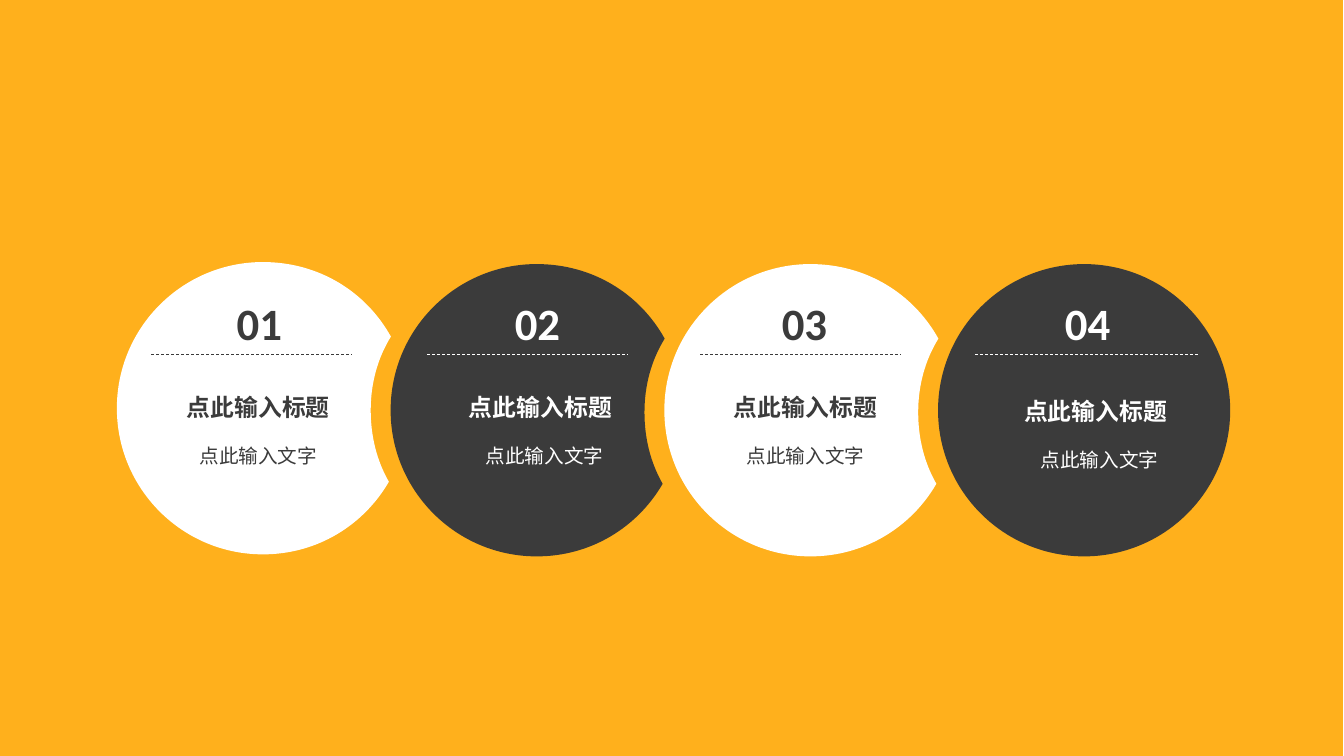
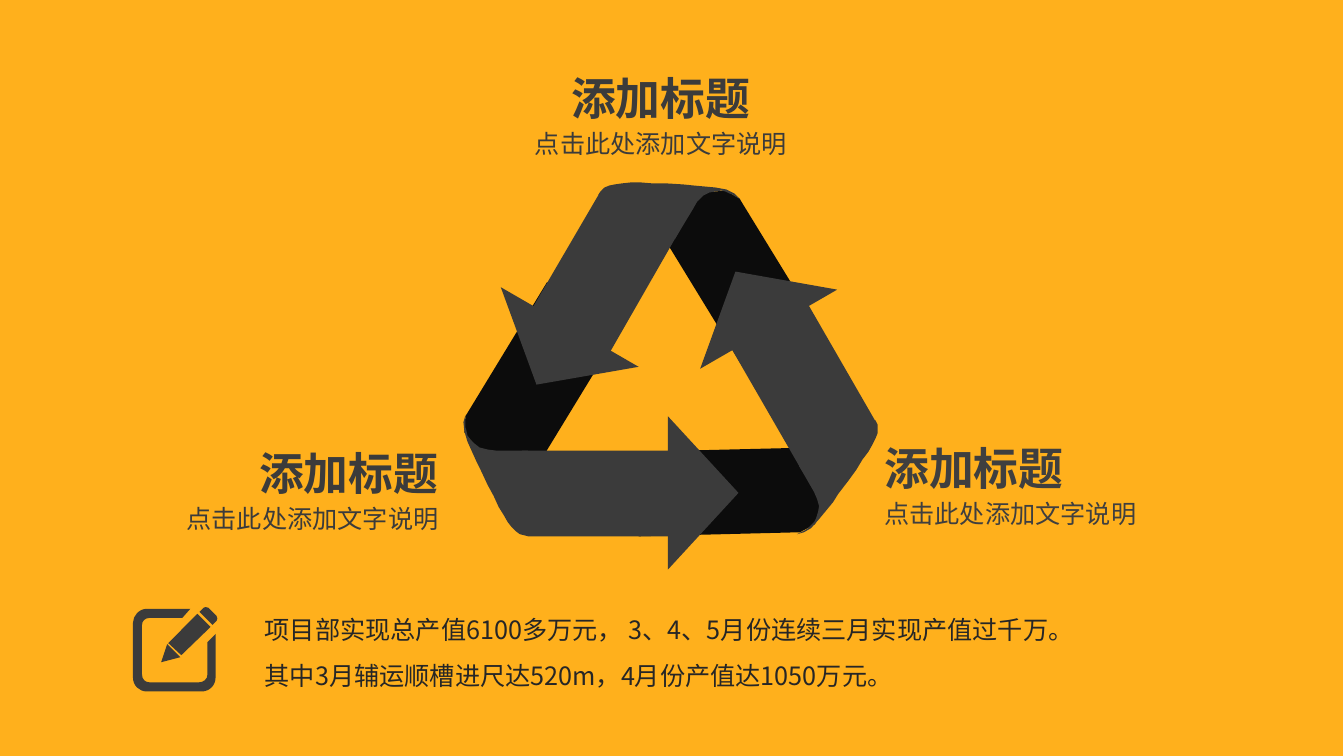
from math import cos, radians, sin

from lxml import etree
from pptx import Presentation
from pptx.dml.color import RGBColor
from pptx.enum.dml import MSO_LINE
from pptx.enum.shapes import MSO_CONNECTOR, MSO_SHAPE
from pptx.enum.text import MSO_AUTO_SIZE, PP_ALIGN
from pptx.oxml.ns import qn
from pptx.util import Inches, Pt

LEFT, CENTER, RIGHT = PP_ALIGN.LEFT, PP_ALIGN.CENTER, PP_ALIGN.RIGHT
FIT_SHAPE = MSO_AUTO_SIZE.SHAPE_TO_FIT_TEXT
RECTANGLE, OVAL = MSO_SHAPE.RECTANGLE, MSO_SHAPE.OVAL
TRIANGLE = MSO_SHAPE.ISOSCELES_TRIANGLE
STRAIGHT, DASH = MSO_CONNECTOR.STRAIGHT, MSO_LINE.DASH
rgb = RGBColor.from_string

# Shared colours and text formats
ORANGE, WHITE, DARK, BLACK = "FFB01C", "FFFFFF", "3B3B3B", "0C0C0C"
CJK = "Noto Sans CJK SC"
NUMBER = {"name": "Calibri", "size": Pt(32), "bold": True}
STEP_TITLE = {"name": CJK, "size": Pt(17), "bold": True}
STEP_TEXT = {"name": CJK, "size": Pt(14), "bold": False}
HEADING = {"name": CJK, "size": Pt(32), "bold": True}
BODY = {"name": CJK, "size": Pt(18), "bold": False}


def add_text(slide, box, lines, font_format, color, align=LEFT, spacing=1.0, wrap=True):
    """Text box with one paragraph per line."""
    frame = slide.shapes.add_textbox(*map(Inches, box)).text_frame
    frame.word_wrap = wrap
    frame.auto_size = FIT_SHAPE
    for index, line in enumerate(lines):
        paragraph = frame.add_paragraph() if index else frame.paragraphs[0]
        paragraph.alignment = align
        paragraph.line_spacing = spacing
        run = paragraph.add_run()
        run.text = line
        for attribute, value in font_format.items():
            setattr(run.font, attribute, value)
        run.font.color.rgb = rgb(color)
        east_asian = etree.SubElement(run._r.get_or_add_rPr(), qn("a:ea"))
        east_asian.set("typeface", font_format["name"])


def add_outline(shapes, contours, rotation=0):
    """Closed outlines; a part is a point (x, y) or a curve (x1, y1, x2, y2, x, y)."""
    # Turn the points back, so that the rotated shape shows them in place
    turn = complex(cos(radians(rotation)), sin(radians(rotation)))
    flat = [[complex(*part[i:i + 2]) / turn for part in contour
             for i in range(0, len(part), 2)] for contour in contours]
    xs = [point.real for points in flat for point in points]
    ys = [point.imag for points in flat for point in points]
    center = complex(min(xs) + max(xs), min(ys) + max(ys)) / 2
    shift = center * turn - center

    builder = None
    for points in flat:
        corners = [(Inches((p + shift).real), Inches((p + shift).imag)) for p in points]
        if builder is None:
            builder = shapes.build_freeform(*corners[0], scale=1.0)
        else:
            builder.move_to(*corners[0])
        builder.add_line_segments(corners[1:], close=True)
    outline = builder.convert_to_shape()
    outline.rotation = rotation

    # Join the three points of each curve into one segment
    segments = outline._element.iter(qn("a:lnTo"))
    segments = iter(list(segments))
    for part in (part for contour in contours for part in contour[1:]):
        segment = next(segments)
        if len(part) == 6:
            segment.tag = qn("a:cubicBezTo")
            for _ in range(2):
                extra = next(segments)
                segment.append(extra[0])
                extra.getparent().remove(extra)
    return outline


prs = Presentation()
prs.slide_width, prs.slide_height = Inches(13.34), Inches(7.5)
blank = prs.slide_layouts[6]
painted = []  # every filled shape with its colour

# Both slides share the orange backdrop
steps_slide, cycle_slide = [prs.slides.add_slide(blank) for _ in range(2)]
for slide in (steps_slide, cycle_slide):
    backdrop = slide.shapes.add_shape(RECTANGLE, 0, 0, Inches(13.33), Inches(7.5))
    painted.append((backdrop, ORANGE))

# Slide 1: four interlocking circles
RADIUS, PITCH = 1.45, 2.717
bitten_circle = [
    (0, -1.45), (0.55, -1.45, 1.02, -1.16, 1.27, -0.71),
    (1.14, -0.5, 1.07, -0.25, 1.07, 0.02), (1.07, 0.28, 1.13, 0.52, 1.25, 0.73),
    (1, 1.16, 0.54, 1.45, 0, 1.45), (-0.8, 1.45, -1.45, 0.8, -1.45, 0),
    (-1.45, -0.8, -0.8, -1.45, 0, -1.45),
]
# centre y, number left, divider ends, title left and top, text left and top
steps = [
    (4.05, 2.25, (1.5, 3.49), (1.21, 3.71), (1.21, 4.24)),
    (4.07, 5.01, (4.24, 6.23), (4.01, 3.71), (4.05, 4.24)),
    (4.07, 7.66, (6.95, 8.94), (6.64, 3.71), (6.64, 4.24)),
    (4.07, 10.47, (9.68, 11.9), (9.52, 3.74), (9.56, 4.28)),
]
for index, (cy, number_x, divider_ends, title_at, text_at) in enumerate(steps):
    cx = 2.61 + PITCH * index
    fill, ink = (DARK, WHITE) if index % 2 else (WHITE, DARK)

    # Circle, with a bite for the next one unless it is the last
    if index < len(steps) - 1:
        circle = add_outline(steps_slide.shapes, [[
            tuple(value + (cy if i % 2 else cx) for i, value in enumerate(part))
            for part in bitten_circle]])
    else:
        circle = steps_slide.shapes.add_shape(
            OVAL, Inches(cx - RADIUS), Inches(cy - RADIUS),
            Inches(2 * RADIUS), Inches(2 * RADIUS))
    painted.append((circle, fill))

    # Divider
    start_x, end_x = divider_ends
    divider = steps_slide.shapes.add_connector(
        STRAIGHT, Inches(start_x), Inches(3.52), Inches(end_x), Inches(3.52))
    divider.line.color.rgb = rgb(ink)
    divider.line.width = Pt(0.5)
    divider.line.dash_style = DASH
    etree.SubElement(divider._element.spPr, qn("a:effectLst"))

    # Number, title and text
    for box, words, font_format, wrap in [
        ((number_x, 2.62, 0.65, 0.9), f"{index + 1:02}", NUMBER, False),
        ((*title_at, 2.71, 0.53), "点此输入标题", STEP_TITLE, True),
        ((*text_at, 2.71, 0.45), "点此输入文字", STEP_TEXT, True),
    ]:
        add_text(steps_slide, box, [words], font_format, ink, CENTER, 1.5, wrap)

# Slide 2: cycle of three folded arrows, each a third of a turn on
# Dark undersides of the band, the first of them unrotated
undersides = [
    [(6.19, 3.22), (5.14, 4.94), (4.61, 4.29), (4.62, 4.13), (5.43, 2.8)],
    [(7.44, 3.75), (6.35, 1.97), (7.2, 1.89), (7.34, 1.97), (8.18, 3.34)],
    [(6.36, 4.48), (8.44, 4.43), (8.09, 5.2), (7.94, 5.28), (6.34, 5.32)],
]
for index, underside in enumerate(undersides):
    painted.append((add_outline(cycle_slide.shapes, [underside], 120 * index), BLACK))

# Arrows: rotation, head box, shaft, fold
arrows = [
    (120, (4.7, 3.2, 1.58, 0.66),
     [(5.93, 3.71), (6.75, 2.28), (6.36, 2.06), (5.96, 1.9), (5.16, 3.27)],
     [(6.7, 2.37), (5.94, 1.93), (5.97, 1.89), (6, 1.86), (6.05, 1.84),
      (6.1, 1.83), (6.17, 1.82), (6.26, 1.81), (6.36, 1.81), (6.48, 1.82),
      (6.62, 1.82), (6.78, 1.83), (6.88, 1.84), (7.1, 1.86), (7.21, 1.88),
      (7.29, 1.92), (7.35, 1.98), (7.3, 1.95), (7.27, 1.93), (7.24, 1.92),
      (7.2, 1.9), (7.16, 1.89), (7.1, 1.9), (7.04, 1.91), (6.98, 1.94),
      (6.92, 2), (6.88, 2.07)]),
    (240, (6.68, 2.65, 1.57, 0.66),
     [(7.14, 3.25), (7.96, 4.67), (8.35, 4.44), (8.69, 4.18), (7.9, 2.81)],
     [(7.93, 4.62), (8.69, 4.17), (8.71, 4.21), (8.71, 4.25), (8.71, 4.3),
      (8.69, 4.35), (8.66, 4.41), (8.62, 4.48), (8.56, 4.56), (8.5, 4.66),
      (8.42, 4.77), (8.32, 4.9), (8.27, 4.98), (8.13, 5.15), (8.05, 5.24),
      (7.98, 5.28), (7.91, 5.3), (7.95, 5.28), (7.99, 5.26), (8.02, 5.24),
      (8.04, 5.22), (8.08, 5.18), (8.1, 5.14), (8.12, 5.08), (8.13, 5.02),
      (8.11, 4.95), (8.08, 4.88)]),
    (0, (6.22, 4.54, 1.52, 0.7),
     [(6.92, 4.47), (5.18, 4.47), (5.18, 4.91), (5.24, 5.32), (6.92, 5.32)],
     [(5.24, 4.47), (5.24, 5.32), (5.2, 5.31), (5.16, 5.3), (5.12, 5.27),
      (5.08, 5.23), (5.04, 5.18), (5, 5.11), (4.95, 5.03), (4.9, 4.92),
      (4.84, 4.81), (4.77, 4.66), (4.73, 4.58), (4.64, 4.38), (4.61, 4.28),
      (4.6, 4.19), (4.62, 4.12), (4.62, 4.17), (4.62, 4.21), (4.62, 4.24),
      (4.63, 4.27), (4.64, 4.32), (4.67, 4.36), (4.71, 4.4), (4.76, 4.44),
      (4.84, 4.46), (4.92, 4.47)]),
]
for rotation, head_box, shaft, fold in arrows:
    arrow = cycle_slide.shapes.add_group_shape()
    head = arrow.shapes.add_shape(TRIANGLE, *map(Inches, head_box))
    head.rotation = rotation + 90
    painted.append((head, DARK))
    for part in (shaft, fold):
        painted.append((add_outline(arrow.shapes, [part], rotation), DARK))

# Summary
add_text(cycle_slide, (2.53, 5.9, 9.36, 1), [
    "项目部实现总产值6100多万元， 3、4、5月份连续三月实现产值过千万。",
    "其中3月辅运顺槽进尺达520m，4月份产值达1050万元。",
], BODY, "262626", spacing=1.5)

# Captions at the three corners
for left, top, align, color in [
    (1.65, 4.37, RIGHT, DARK),
    (8.68, 4.32, LEFT, "3F3F3F"),
    (5.16, 0.65, CENTER, DARK),
]:
    add_text(cycle_slide, (left, top + 0.57, 2.8, 0.4), ["点击此处添加文字说明"],
             BODY, color, align)
    add_text(cycle_slide, (left, top, 2.8, 0.64), ["添加标题"], HEADING, color, align)

# Notepad icon: pencil end, shaft and tip, then the open frame
pencil_end = [(2.15, 6.16), (2.11, 6.2), (1.98, 6.07), (2.02, 6.03),
              (2.03, 6.02, 2.05, 6.02, 2.07, 6.03), (2.15, 6.11),
              (2.16, 6.13, 2.16, 6.15, 2.15, 6.16)]
pencil_shaft = [(1.8, 6.5), (1.67, 6.38), (1.96, 6.09), (2.09, 6.22)]
pencil_tip = [(1.79, 6.52), (1.6, 6.57), (1.66, 6.39)]
notepad = [
    (1.49, 6.13), (1.44, 6.13, 1.41, 6.16, 1.41, 6.2), (1.41, 6.69),
    (1.41, 6.74, 1.44, 6.77, 1.49, 6.77), (1.97, 6.77),
    (2.02, 6.77, 2.06, 6.74, 2.06, 6.69), (2.06, 6.37), (2.14, 6.29), (2.14, 6.72),
    (2.14, 6.8, 2.08, 6.86, 2, 6.86), (1.46, 6.86),
    (1.38, 6.86, 1.32, 6.8, 1.32, 6.72), (1.32, 6.18),
    (1.32, 6.11, 1.38, 6.04, 1.46, 6.04), (1.89, 6.04), (1.81, 6.13),
]
icon = add_outline(cycle_slide.shapes, [pencil_end, pencil_shaft, pencil_tip, notepad])
painted.append((icon, DARK))

# Flat fill without line or shadow for every shape
for shape, color in painted:
    shape.shadow.inherit = False
    shape.fill.solid()
    shape.fill.fore_color.rgb = rgb(color)
    shape.line.fill.background()

prs.save("out.pptx")
